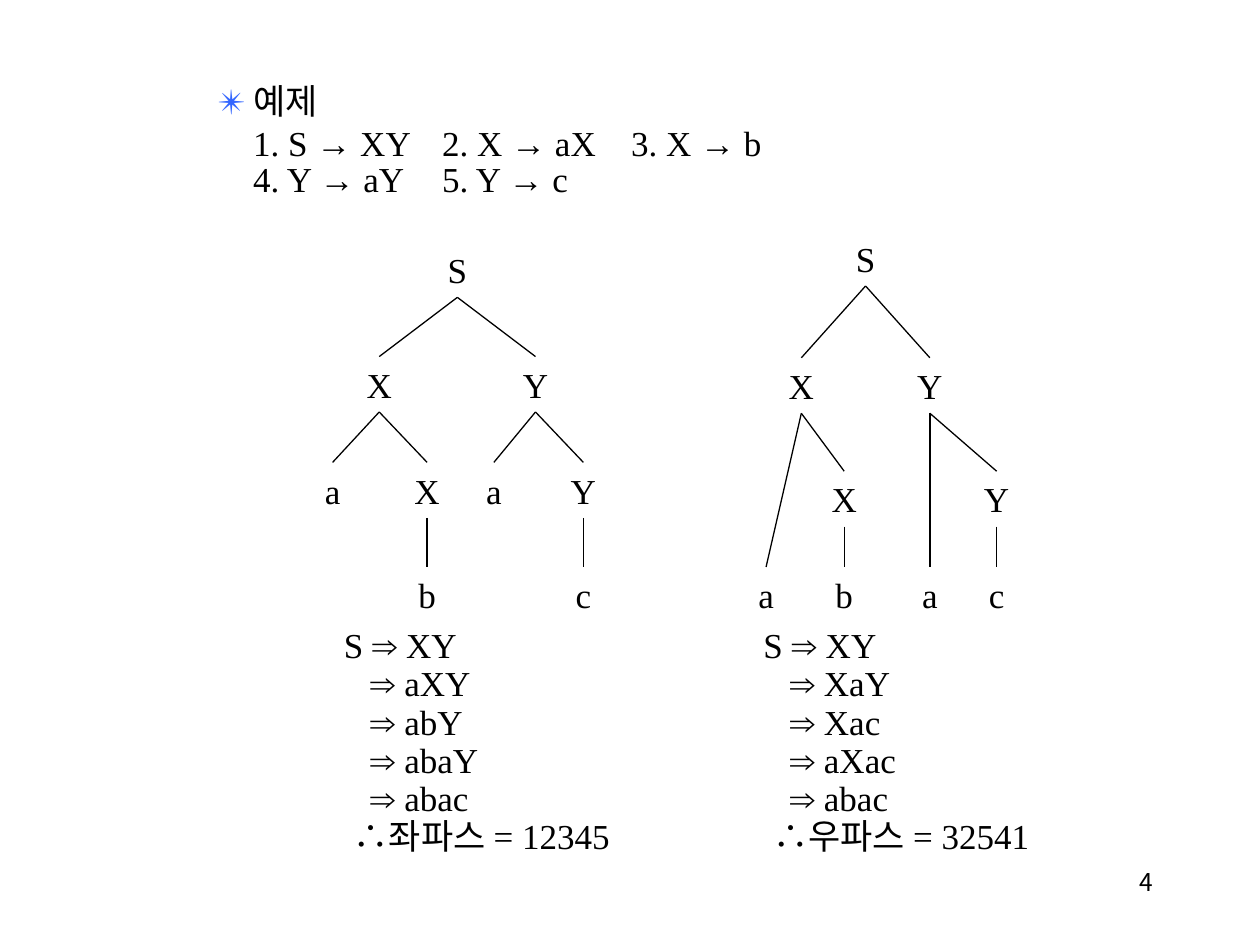
from dataclasses import dataclass
from itertools import groupby

from lxml.etree import SubElement
from pptx import Presentation
from pptx.dml.color import RGBColor
from pptx.enum.shapes import MSO_CONNECTOR
from pptx.enum.text import MSO_ANCHOR, MSO_AUTO_SIZE, PP_ALIGN
from pptx.oxml.ns import qn
from pptx.util import Inches, Pt


@dataclass(frozen=True)
class Theme:
    ink: RGBColor = RGBColor(0, 0, 0)
    mark: RGBColor = RGBColor(0x33, 0x66, 0xFF)
    serif: str = "Times New Roman"
    sans: str = "Arial"
    page: str = "Noto Sans CJK KR"
    body: Pt = Pt(20)
    small: Pt = Pt(14)
    gap: Pt = Pt(5)
    line: Pt = Pt(0.75)


THEME = Theme()
SIGNS = "✴→⇒∴"
NODE_H = 0.44
NODE_W = {"S": 0.35, "X": 0.4, "Y": 0.4, "a": 0.32, "b": 0.34, "c": 0.32}

# Each node: label, x offset of its centre, level, children
LEFT_TREE = ("S", 0.99, 0, [
    ("X", 0.37, 1, [("a", 0, 2, []),
                    ("X", 0.75, 2, [("b", 0.75, 3, [])])]),
    ("Y", 1.61, 1, [("a", 1.28, 2, []),
                    ("Y", 1.99, 2, [("c", 1.99, 3, [])])]),
])
RIGHT_TREE = ("S", 0.79, 0, [
    ("X", 0.28, 1, [("a", 0, 3, []),
                    ("X", 0.62, 2, [("b", 0.62, 3, [])])]),
    ("Y", 1.3, 1, [("a", 1.3, 3, []),
                   ("Y", 1.83, 2, [("c", 1.83, 3, [])])]),
])


def style(run, font, size, color):
    run.font.name = font
    run.font.size = size
    run.font.color.rgb = color


def write(par, text):
    """Fill a paragraph, setting signs in the sans font."""
    par.space_before = THEME.gap
    for sign, chars in groupby(text, lambda char: char in SIGNS):
        run = par.add_run()
        run.text = "".join(chars)
        color = THEME.mark if run.text == "✴" else THEME.ink
        style(run, THEME.sans if sign else THEME.serif, THEME.body, color)


def add_text(slide, box, lines, align=PP_ALIGN.LEFT):
    """Add a text box and return its paragraphs."""
    frame = slide.shapes.add_textbox(*map(Inches, box)).text_frame
    frame.word_wrap = False
    frame.auto_size = MSO_AUTO_SIZE.SHAPE_TO_FIT_TEXT
    frame.vertical_anchor = MSO_ANCHOR.MIDDLE
    for _ in lines[1:]:
        frame.add_paragraph()
    for par, line in zip(frame.paragraphs, lines):
        par.alignment = align
        write(par, line)
    return frame.paragraphs


def add_line(slide, start, end):
    line = slide.shapes.add_connector(
        MSO_CONNECTOR.STRAIGHT, *map(Inches, (*start, *end)))
    line.line.color.rgb = THEME.ink
    line.line.width = THEME.line
    SubElement(line._element.spPr, qn("a:effectLst"))


def add_rules(slide, left, top):
    add_text(slide, (left, top, 1.03, NODE_H), ["✴ 예제"], PP_ALIGN.CENTER)
    pars = add_text(slide, (left + 0.3, top + 0.33, 5.25, 0.71), [
        "1. S → XY\t2. X → aX\t3. X → b",
        "4. Y → aY\t5. Y → c",
    ])
    pars[1].line_spacing = 0.6


def add_tree(slide, left, tops, node):
    """Draw a node, then its branches; tops holds the top of each level."""
    label, x, level, kids = node
    mid, top, width = left + x, tops[level], NODE_W[label]
    add_text(slide, (mid - width / 2, top, width, NODE_H), [label],
             PP_ALIGN.CENTER)
    for kid in kids:
        add_line(slide, (mid, top + NODE_H), (left + kid[1], tops[kid[2]]))
        add_tree(slide, left, tops, kid)


def add_steps(slide, left, top, steps, result):
    """List a derivation from S with its parse below."""
    first, *rest = steps
    lines = [f"S ⇒ {first}", *(f"⇒ {step}" for step in rest), f"∴{result}"]
    pars = add_text(slide, (left, top, 2.41, 1.85), lines)
    indents = [0] + [0.21] * len(rest) + [0.08]
    for par, indent in zip(pars, indents):
        par.line_spacing = 0.7
        par._p.get_or_add_pPr().set("marL", str(Inches(indent)))


def add_number(slide, box, number):
    frame = slide.shapes.add_textbox(*map(Inches, box)).text_frame
    frame.word_wrap = True
    frame.text = number
    par = frame.paragraphs[0]
    par.alignment = PP_ALIGN.RIGHT
    style(par.runs[0], THEME.page, THEME.small, THEME.ink)


def main():
    deck = Presentation()
    deck.slide_width, deck.slide_height = Inches(10), Inches(7.5)
    slide = deck.slides.add_slide(deck.slide_layouts[6])
    add_rules(slide, 1.61, 0.58)
    add_tree(slide, 2.64, (1.92, 2.83, 3.67, 4.5), LEFT_TREE)
    add_tree(slide, 6.08, (1.83, 2.84, 3.74, 4.5), RIGHT_TREE)
    add_steps(slide, 2.63, 4.99, ["XY", "aXY", "abY", "abaY", "abac"],
              "좌파스 = 12345")
    add_steps(slide, 5.96, 4.99, ["XY", "XaY", "Xac", "aXac", "abac"],
              "우파스 = 32541")
    add_number(slide, (7.17, 6.83, 2.08, 0.5), "4")
    deck.save("out.pptx")


if __name__ == "__main__":
    main()
